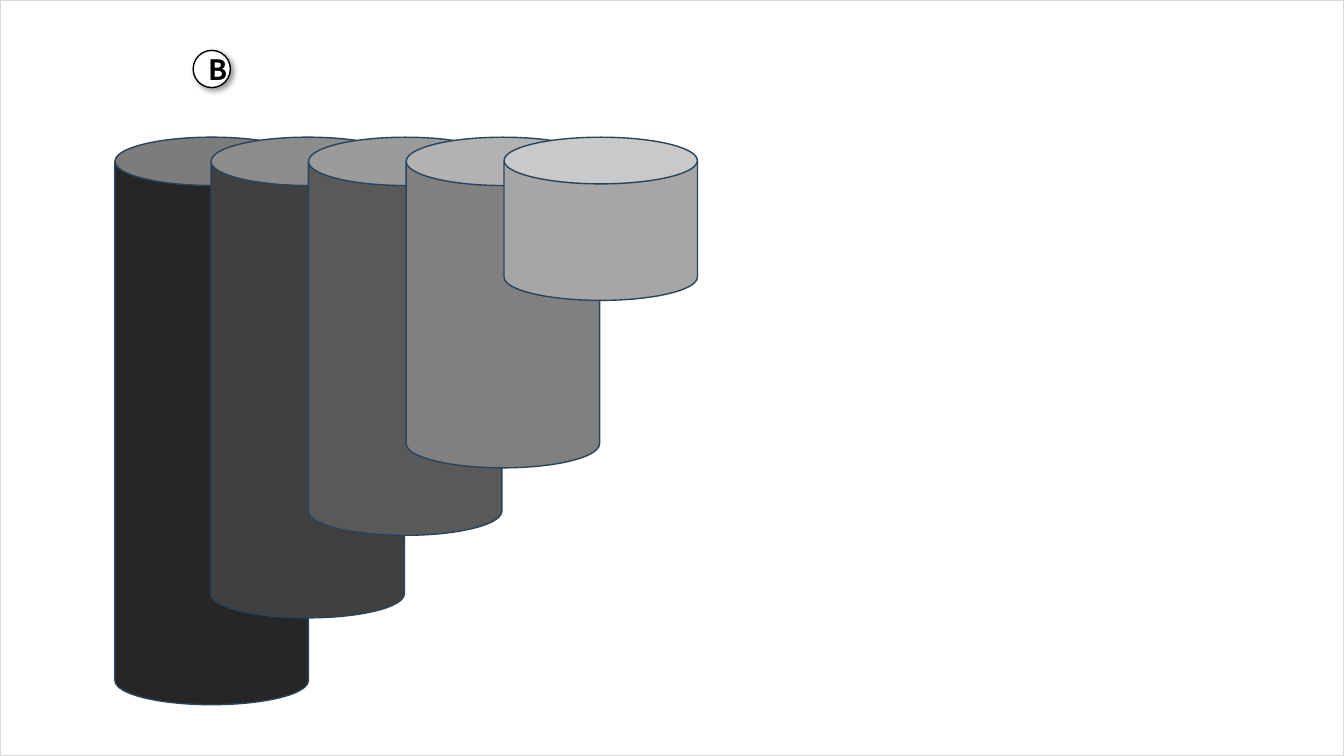
from dataclasses import dataclass

import pptx
import pptx.dml.color
import pptx.enum.shapes
import pptx.enum.text
import pptx.oxml
import pptx.oxml.ns
import pptx.util

Pt = pptx.util.Pt
Shapes = pptx.enum.shapes.MSO_SHAPE


@dataclass(frozen=True)
class Theme:
    font: str = "Noto Sans CJK JP"
    label_size: float = 20
    line_width: float = 1
    black: str = "000000"
    white: str = "FFFFFF"
    frame: str = "D9D9D9"
    outline: str = "28445D"
    cylinders: tuple = ("262626", "404040", "595959", "808080", "A6A6A6")


THEME = Theme()
SLIDE_WIDTH, SLIDE_HEIGHT = 960, 540
CYLINDER_WIDTH = 138.2
CYLINDER_OFFSETS = (0, 68.6, 138.2, 208, 277.9)
CYLINDER_HEIGHTS = (405.4, 343.4, 284.4, 236.2, 116.6)
CYLINDER_CAPS = (0.25, 0.25, 0.25, 0.25, 0.286)


def color(value):
    return pptx.dml.color.RGBColor.from_string(value)


def add_outlined_shape(slide, kind, box, fill, line):
    shape = slide.shapes.add_shape(kind, *(Pt(length) for length in box))
    shape.shadow.inherit = False
    if fill is None:
        shape.fill.background()
    else:
        shape.fill.solid()
        shape.fill.fore_color.rgb = color(fill)
    shape.line.color.rgb = color(line)
    shape.line.width = Pt(THEME.line_width)
    return shape


def write_text(shape, text, *, size, text_color, bold=False,
               alignment=pptx.enum.text.PP_ALIGN.CENTER):
    frame = shape.text_frame
    frame.word_wrap = True
    frame.vertical_anchor = pptx.enum.text.MSO_ANCHOR.MIDDLE
    paragraph = frame.paragraphs[0]
    paragraph.alignment = alignment
    run = paragraph.add_run()
    run.text = text
    run.font.name = THEME.font
    run.font.size = Pt(size)
    run.font.bold = bold
    run.font.color.rgb = color(text_color)


def add_shadow(shape, shadow_color, opacity, blur, distance, angle):
    properties = shape.element.spPr
    effects = properties.find(pptx.oxml.ns.qn("a:effectLst"))
    effects.append(pptx.oxml.parse_xml(
        f'<a:outerShdw {pptx.oxml.ns.nsdecls("a")} blurRad="{Pt(blur)}" '
        f'dist="{Pt(distance)}" dir="{angle * 60000}" algn="tl" rotWithShape="0">'
        f'<a:srgbClr val="{shadow_color}"><a:alpha val="{opacity * 1000}"/></a:srgbClr>'
        '</a:outerShdw>'))


def add_frame(slide, box):
    add_outlined_shape(slide, Shapes.RECTANGLE, box, None, THEME.frame)


def add_cylinders(slide, left, top):
    columns = zip(CYLINDER_OFFSETS, CYLINDER_HEIGHTS, CYLINDER_CAPS, THEME.cylinders)
    for offset, height, cap, fill in columns:
        box = (left + offset, top, CYLINDER_WIDTH, height)
        cylinder = add_outlined_shape(slide, Shapes.CAN, box, fill, THEME.outline)
        cylinder.adjustments[0] = cap


def add_badge(slide, box, text):
    badge = add_outlined_shape(slide, Shapes.OVAL, box, THEME.white, THEME.black)
    add_shadow(badge, THEME.black, opacity=40, blur=4, distance=3, angle=45)
    write_text(badge, text, size=THEME.label_size, text_color=THEME.black, bold=True)


def main():
    presentation = pptx.Presentation()
    presentation.slide_width = Pt(SLIDE_WIDTH)
    presentation.slide_height = Pt(SLIDE_HEIGHT)
    slide = presentation.slides.add_slide(presentation.slide_layouts[6])
    add_frame(slide, (0, 0, SLIDE_WIDTH, SLIDE_HEIGHT))
    add_cylinders(slide, 82.1, 98)
    add_badge(slide, (138, 36, 26.6, 26.6), "B")
    presentation.save("out.pptx")


if __name__ == "__main__":
    main()
